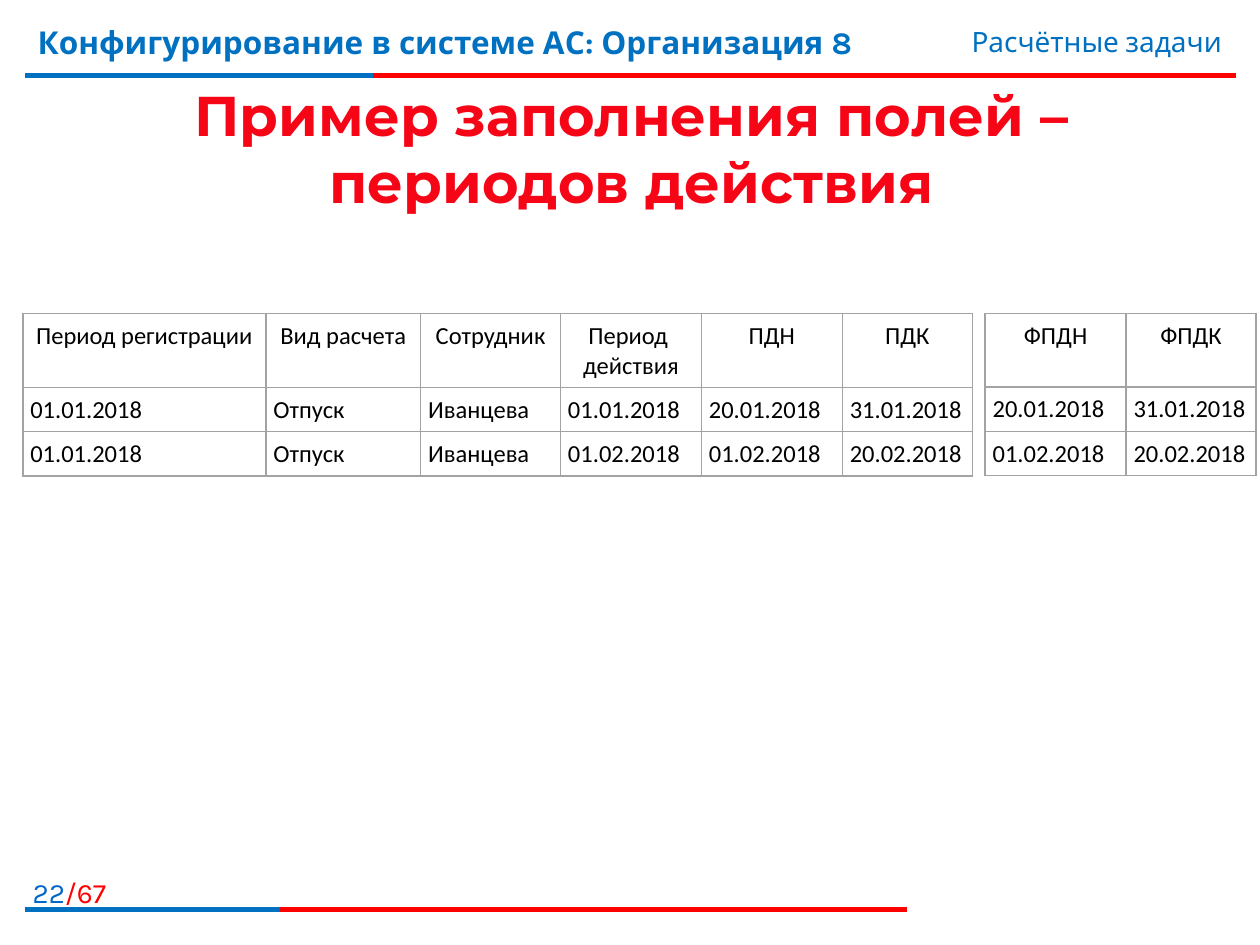
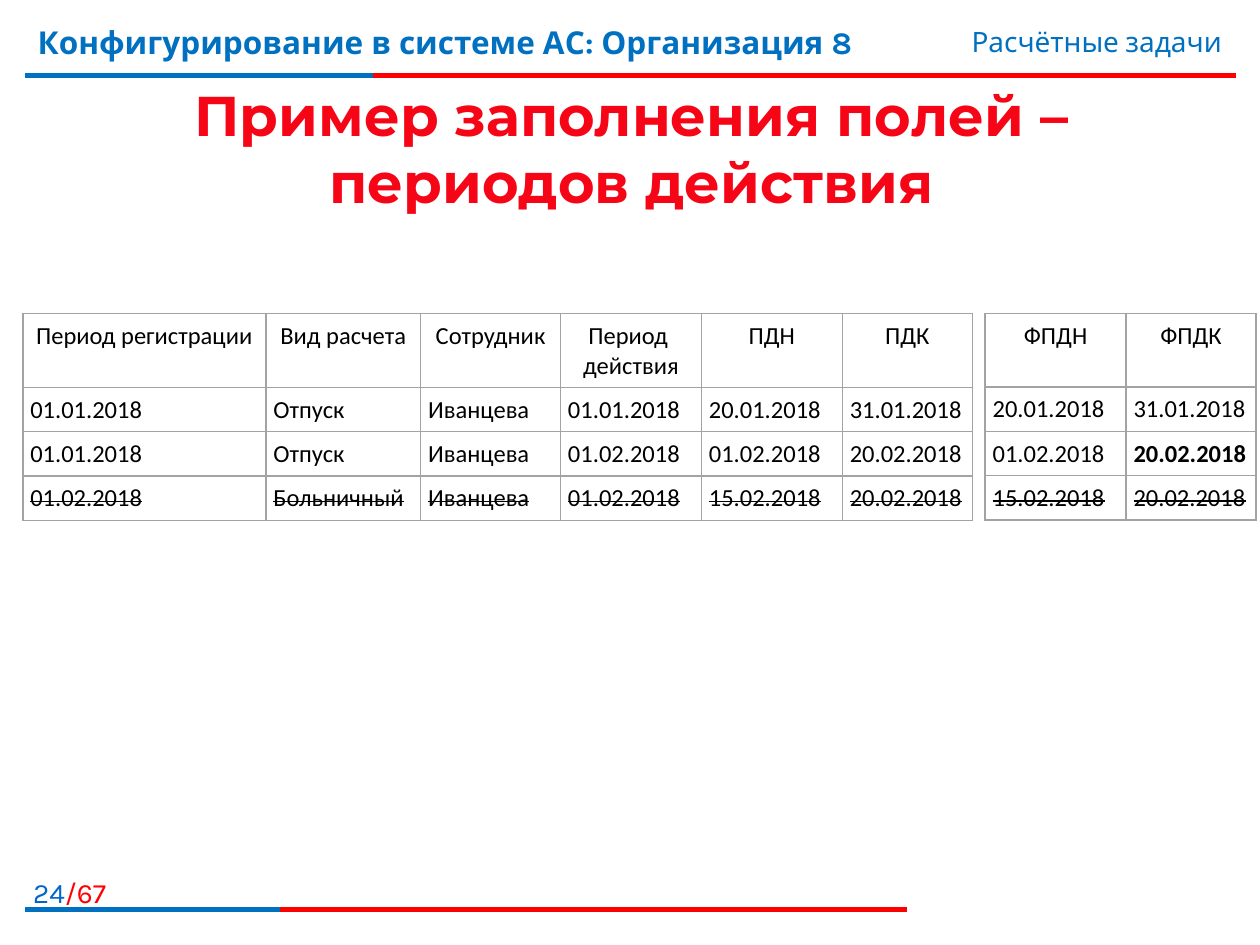
"""Build two slides with example payroll period tables."""
import dataclasses

import lxml.etree
import pptx
import pptx.dml.color
import pptx.enum.text
import pptx.oxml.ns
import pptx.util

Cm = pptx.util.Cm
Pt = pptx.util.Pt
ALIGN = pptx.enum.text.PP_ALIGN
qn = pptx.oxml.ns.qn


@dataclasses.dataclass(frozen=True)
class Theme:
    """Colours, fonts and type sizes of the deck."""
    red: str = "FF0000"
    blue: str = "0070C0"
    number: str = "0066CC"
    title_from: str = "F50516"
    title_to: str = "C00000"
    outline: str = "FFFFFF"
    border: str = "A3A3A3"
    ink: str = "000000"
    band_font: str = "Karla"
    title_font: str = "Montserrat"
    table_font: str = "Calibri"
    course_size: int = 18
    band_size: int = 16
    title_size: int = 32
    table_size: int = 14


THEME = Theme()
HEADERS = ("Период регистрации", "Вид расчета", "Сотрудник", "Период \nдействия",
           "ПДН", "ПДК", "ФПДН", "ФПДК")
WIDTHS = (4.9, 3.12, 2.82, 2.84, 2.84, 2.62, 2.84, 2.62)
VACATION = [
    ("01.01.2018", "Отпуск", "Иванцева", "01.01.2018",
     "20.01.2018", "31.01.2018", "20.01.2018", "31.01.2018"),
    ("01.01.2018", "Отпуск", "Иванцева", "01.02.2018",
     "01.02.2018", "20.02.2018", "01.02.2018", "20.02.2018"),
]
SICK_LEAVE = ("01.02.2018", "Больничный", "Иванцева", "01.02.2018",
              "15.02.2018", "20.02.2018", "15.02.2018", "20.02.2018")
ENTERED_COLUMNS = 6


def rgb(code):
    """Return the colour for a hex code."""
    return pptx.dml.color.RGBColor.from_string(code)


def add_run(p, text, font, size, color, bold=False, strike=False):
    """Append one formatted run to a paragraph."""
    r = p.add_run()
    r.text = text
    r.font.name, r.font.size, r.font.bold = font, Pt(size), bold
    r.font.color.rgb = rgb(color)
    if strike:
        r.font._element.set("strike", "sngStrike")
    return r


def add_text_box(slide, x, y, w, h, align):
    """Add a wrapping text box and return its paragraph."""
    tf = slide.shapes.add_textbox(Cm(x), Cm(y), Cm(w), Cm(h)).text_frame
    tf.word_wrap = True
    p = tf.paragraphs[0]
    p.alignment = align
    return p


def add_line(slide, x1, x2, y, color):
    """Draw a horizontal rule without a shadow."""
    line = slide.shapes.add_connector(
        pptx.enum.shapes.MSO_CONNECTOR.STRAIGHT, Cm(x1), Cm(y), Cm(x2), Cm(y))
    line.line.color.rgb = rgb(color)
    line.line.width = Pt(3)
    lxml.etree.SubElement(line._element.spPr, qn("a:effectLst"))


def add_rule(slide, y, blue_end, red_end):
    """Draw a red rule whose beginning is blue."""
    for end, color in ((red_end, THEME.red), (blue_end, THEME.blue)):
        add_line(slide, 0.51, end, y, color)


def add_frame(slide, number):
    """Add the header and footer shared by the slides."""
    add_rule(slide, 1.52, 7.52, 24.92)
    add_rule(slide, 18.34, 5.64, 18.29)
    p = add_text_box(slide, 0, 17.53, 2.39, 0.81, ALIGN.RIGHT)
    add_run(p, str(number), THEME.band_font, THEME.band_size, THEME.number)
    add_run(p, "/67", THEME.band_font, THEME.band_size, THEME.red)
    p = add_text_box(slide, 0.51, 0.33, 18.8, 1.57, ALIGN.LEFT)
    add_run(p, "Конфигурирование в системе АС: Организация 8",
            THEME.band_font, THEME.course_size, THEME.blue, bold=True)
    p = add_text_box(slide, 15.09, 0.38, 9.8, 0.94, ALIGN.RIGHT)
    add_run(p, "Расчётные задачи", THEME.band_font, THEME.band_size, THEME.blue)


def add_outline(props, tag, color, width):
    """Append a solid line element to text or cell properties."""
    ln = lxml.etree.SubElement(props, qn(tag), w=str(Pt(width)))
    fill = lxml.etree.SubElement(ln, qn("a:solidFill"))
    lxml.etree.SubElement(fill, qn("a:srgbClr"), val=color)
    return ln


def add_title(slide, text):
    """Add the centred title with gradient letters."""
    p = add_text_box(slide, 0.53, 1.6, 24.41, 2.74, ALIGN.CENTER)
    r = add_run(p, text, THEME.title_font, THEME.title_size, THEME.title_from, bold=True)
    fill = r.font.fill
    fill.gradient()
    fill.gradient_angle = 270
    stops = ((0.55, THEME.title_from), (0.86, THEME.title_to))
    for stop, (position, color) in zip(fill.gradient_stops, stops):
        stop.position, stop.color.rgb = position, rgb(color)
    props = r.font._element
    props.insert(0, add_outline(props, "a:ln", THEME.outline, 0.75))
    slide.shapes[-1].text_frame.vertical_anchor = pptx.enum.text.MSO_ANCHOR.MIDDLE


def fill_cell(cell, text, align, bold, strike):
    """Write a cell and give it thin borders."""
    cell.margin_left = cell.margin_right = Cm(0.15)
    cell.margin_top = cell.margin_bottom = Cm(0.15)
    for side in "LRTB":
        add_outline(cell._tc.get_or_add_tcPr(), f"a:ln{side}", THEME.border, 1)
    cell.fill.background()
    p = cell.text_frame.paragraphs[0]
    p.alignment = align
    for i, line in enumerate(text.split("\n")):
        if i:
            p.add_line_break()
        add_run(p, line, THEME.table_font, THEME.table_size, THEME.ink, bold, strike)


def add_period_table(slide, x, columns, records, bold_cells, struck):
    """Add a table with the chosen columns of the records."""
    rows = [HEADERS, *records]
    widths = WIDTHS[columns]
    heights = [1.48] + [0.87] * len(records)
    table = slide.shapes.add_table(len(rows), len(widths), Cm(x), Cm(6.32),
                                   Cm(sum(widths)), Cm(sum(heights))).table
    table.first_row = table.horz_banding = False
    for column, width in zip(table.columns, widths):
        column.width = Cm(width)
    for i, (row, height) in enumerate(zip(rows, heights)):
        table.rows[i].height = Cm(height)
        align = ALIGN.LEFT if i else ALIGN.CENTER
        for j, k in enumerate(range(len(HEADERS))[columns]):
            fill_cell(table.cell(i, j), row[k], align, (i, k) in bold_cells, i in struck)


def add_example(prs, number, records, bold_cells=(), struck=()):
    """Add one slide with the entered and the actual periods."""
    slide = prs.slides.add_slide(prs.slide_layouts[6])
    add_frame(slide, number)
    add_title(slide, "Пример заполнения полей – периодов действия")
    parts = ((0.46, slice(0, ENTERED_COLUMNS)), (19.86, slice(ENTERED_COLUMNS, None)))
    for x, columns in parts:
        add_period_table(slide, x, columns, records, bold_cells, struck)


def main():
    """Build and save the deck."""
    prs = pptx.Presentation()
    prs.slide_width, prs.slide_height = Cm(25.4), Cm(19.05)
    add_example(prs, 22, VACATION)
    add_example(prs, 24, [*VACATION, SICK_LEAVE], bold_cells={(2, 7)}, struck={3})
    prs.save("out.pptx")


if __name__ == "__main__":
    main()
